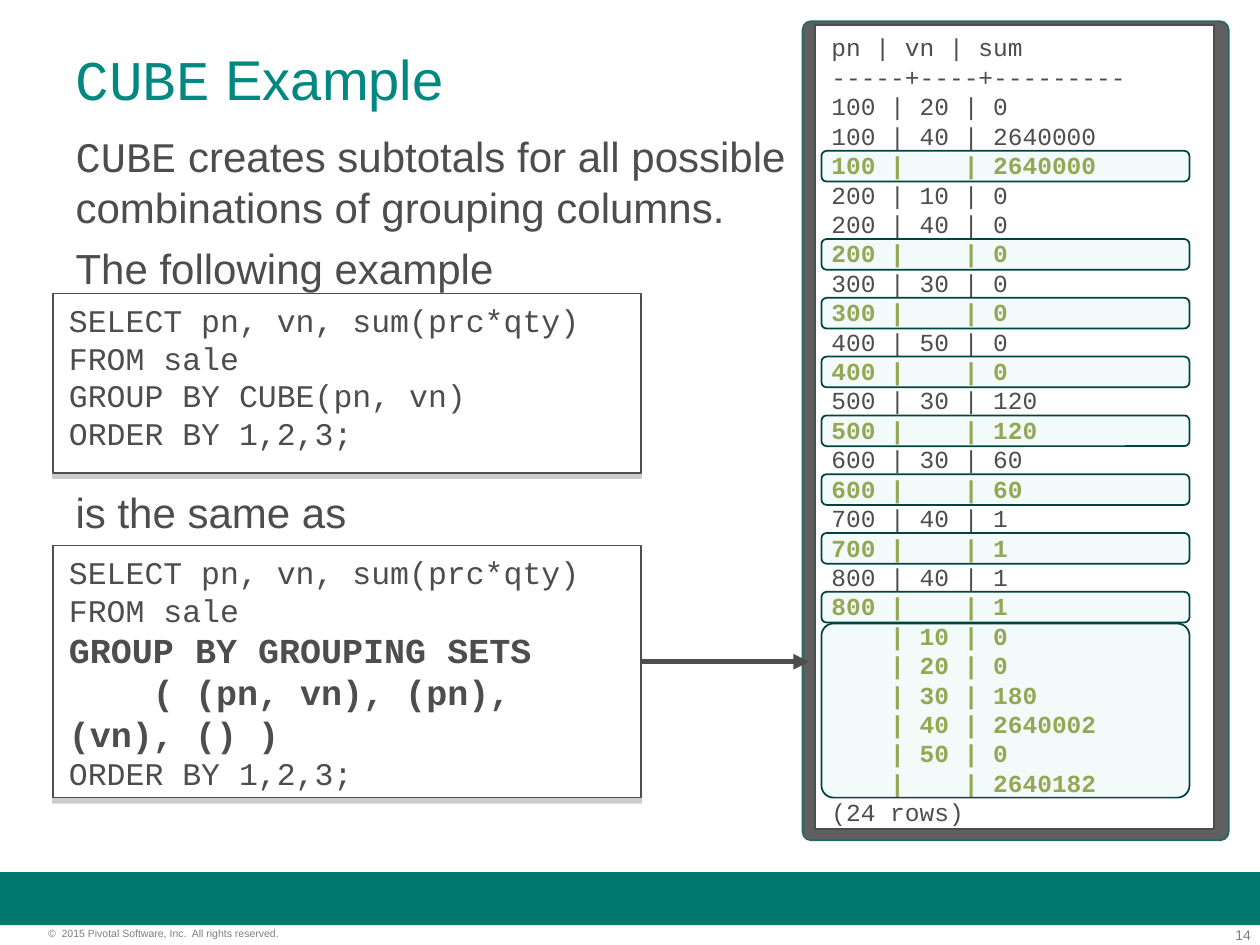
from lxml.etree import SubElement
from pptx import Presentation
from pptx.dml.color import RGBColor
from pptx.enum.shapes import MSO_CONNECTOR as Link, MSO_SHAPE as Kind
from pptx.enum.text import MSO_ANCHOR as Anchor, PP_ALIGN as Align
from pptx.oxml.ns import qn
from pptx.util import Cm, Pt

MONO, SANS = "Courier New", "Arial"
GREY, PALE, OLIVE, TEAL = "4D4D4D", "7F7F7F", "828F23", "008881"
QUERY = ["SELECT pn, vn, sum(prc*qty)", "FROM sale"]
ORDER = "ORDER BY 1,2,3;"
ROWS = """pn | vn | sum
-----+----+---------
100 | 20 | 0
100 | 40 | 2640000
100 |    | 2640000
200 | 10 | 0
200 | 40 | 0
200 |    | 0
300 | 30 | 0
300 |    | 0
400 | 50 | 0
400 |    | 0
500 | 30 | 120
500 |    | 120
600 | 30 | 60
600 |    | 60
700 | 40 | 1
700 |    | 1
800 | 40 | 1
800 |    | 1
    | 10 | 0
    | 20 | 0
    | 30 | 180
    | 40 | 2640002
    | 50 | 0
    |    | 2640182
(24 rows)""".split("\n")
PITCH = Pt(14 * 1.2).cm


def color(code):
    return RGBColor.from_string(code)


def place(shape, *box):
    shape.left, shape.top, shape.width, shape.height = map(Cm, box)


def write(para, text, font=SANS, size=24, ink=GREY, bold=False):
    """Add text to a paragraph; each newline becomes a line break."""
    for i, part in enumerate(text.split("\n")):
        if i:
            para.add_line_break()
        run = para.add_run()
        run.text = part
        run.font.name, run.font.size, run.font.bold = font, Pt(size), bold
        run.font.color.rgb = color(ink)


def lines(frame):
    """Yield the first paragraph, then new ones without end."""
    yield frame.paragraphs[0]
    while True:
        yield frame.add_paragraph()


def label(slide, box, text, align=Align.LEFT, **form):
    frame = slide.shapes.add_textbox(*map(Cm, box)).text_frame
    frame.word_wrap = True
    frame.margin_left = frame.margin_right = 0
    frame.margin_top = frame.margin_bottom = 0
    frame.paragraphs[0].alignment = align
    write(frame.paragraphs[0], text, **form)


def code(slide, box, rows):
    """Add a text box of code from pairs of text and format."""
    frame = slide.shapes.add_textbox(*map(Cm, box)).text_frame
    frame.word_wrap = True
    for (text, form), para in zip(rows, lines(frame)):
        write(para, text, font=MONO, **form)


def panel(slide, box, fill, edge=None, kind=Kind.RECTANGLE, turn=None):
    """Add a filled shape; turn is the corner radius ratio."""
    shape = slide.shapes.add_shape(kind, *map(Cm, box))
    if turn is not None:
        shape.adjustments[0] = turn
    shape.fill.solid()
    shape.fill.fore_color.rgb = color(fill)
    if edge:
        shape.line.color.rgb = color(edge)
        shape.line.width = Pt(1)
    else:
        shape.line.fill.background()
    shape.shadow.inherit = False
    return shape


def alpha(node, part):
    SubElement(node, qn("a:alpha"), val=str(part * 1000))


def drop(shape):
    """Give a shape a hard shadow below it."""
    effect = shape._element.spPr.find(qn("a:effectLst"))
    shade = SubElement(effect, qn("a:outerShdw"), blurRad="0",
                       dist=str(Pt(3)), dir="5400000", rotWithShape="0")
    alpha(SubElement(shade, qn("a:srgbClr"), val="808080"), 40)


def glass(slide, top, high, turn):
    """Mark result rows with a see-through rounded bar."""
    shape = panel(slide, (16.56, top, 7.42, high), "D1EFEC", "004440",
                  Kind.ROUNDED_RECTANGLE, turn)
    alpha(shape._element.spPr.find(".//" + qn("a:srgbClr")), 25)


def arrow(slide, left, right, level):
    link = slide.shapes.add_connector(
        Link.STRAIGHT, Cm(left), Cm(level), Cm(right), Cm(level))
    link.line.color.rgb = color(GREY)
    link.line.width = Pt(3)
    SubElement(link.line._get_or_add_ln(), qn("a:tailEnd"), type="triangle")
    SubElement(link._element.spPr, qn("a:effectLst"))


def title(slide):
    shape = slide.shapes.title
    place(shape, 1.27, 0.76, 22.86, 3.17)
    frame = shape.text_frame
    frame.vertical_anchor = Anchor.TOP
    para = frame.paragraphs[0]
    para.alignment = Align.LEFT
    write(para, "CUBE", font=MONO, size=32, ink=TEAL)
    write(para, " Example", size=32, ink=TEAL)


def body(slide):
    shape = slide.placeholders[1]
    place(shape, 1.27, 2.51, 22.86, 12.57)
    texts = [
        [("CUBE", MONO), (" creates subtotals for all possible \n"
                          "combinations of grouping columns.", SANS)],
        [("The following example", SANS)],
        [("is the same as", SANS)],
    ]
    gaps = [0, 6, 111]
    for runs, gap, para in zip(texts, gaps, lines(shape.text_frame)):
        para.space_before = Pt(gap)
        props = para._p.get_or_add_pPr()
        props.set("marL", "0")
        props.set("indent", "0")
        SubElement(props, qn("a:buNone"))
        for text, font in runs:
            write(para, text, font=font)


def query(slide, top, high, group, **form):
    drop(panel(slide, (1.07, top, 11.86, high), "FFFFFF", GREY))
    plain = {"size": 18}
    rows = [(text, plain) for text in QUERY]
    rows += [(group, form or plain), (ORDER, plain)]
    code(slide, (1.14, top + 0.02, 11.63, high), rows)


def result(slide):
    panel(slide, (16.18, 0.43, 8.59, 16.51), "5F5F5F", "236A64",
          Kind.ROUNDED_RECTANGLE, 0.02)
    panel(slide, (16.43, 0.51, 8.05, 16.21), "FFFFFF", GREY)
    rows, tops = [], []
    for i, row in enumerate(ROWS):
        total = row.startswith(" ") or "|    |" in row
        rows.append((row, {"size": 14, "bold": total,
                           "ink": OLIVE if total else GREY}))
        if total and not row.startswith(" "):
            tops.append(0.67 + i * PITCH)
    code(slide, (16.51, 0.53, 7.65, 16.28), rows)
    for top in tops:
        glass(slide, top, 0.62, 0.17)
    glass(slide, 12.57, 3.51, 0.07)


def main():
    deck = Presentation()
    deck.slide_width, deck.slide_height = Cm(25.4), Cm(19.05)
    slide = deck.slides.add_slide(deck.slide_layouts[1])
    panel(slide, (0, 17.58, 25.4, 1.07), "00786E")
    label(slide, (23.75, 18.67, 1.47, 0.33), "14", Align.RIGHT,
          size=8, ink=PALE)
    label(slide, (0.97, 18.69, 6.32, 0.25),
          "©  2015 Pivotal Software, Inc.  All rights reserved.",
          size=6, ink=PALE)
    title(slide)
    body(slide)
    query(slide, 5.92, 3.61, "GROUP BY CUBE(pn, vn)")
    query(slide, 11, 5.08,
          "GROUP BY GROUPING SETS\n    ( (pn, vn), (pn), (vn), () )",
          size=20, bold=True)
    result(slide)
    arrow(slide, 12.9, 16.31, 13.34)
    deck.save("out.pptx")


if __name__ == "__main__":
    main()
